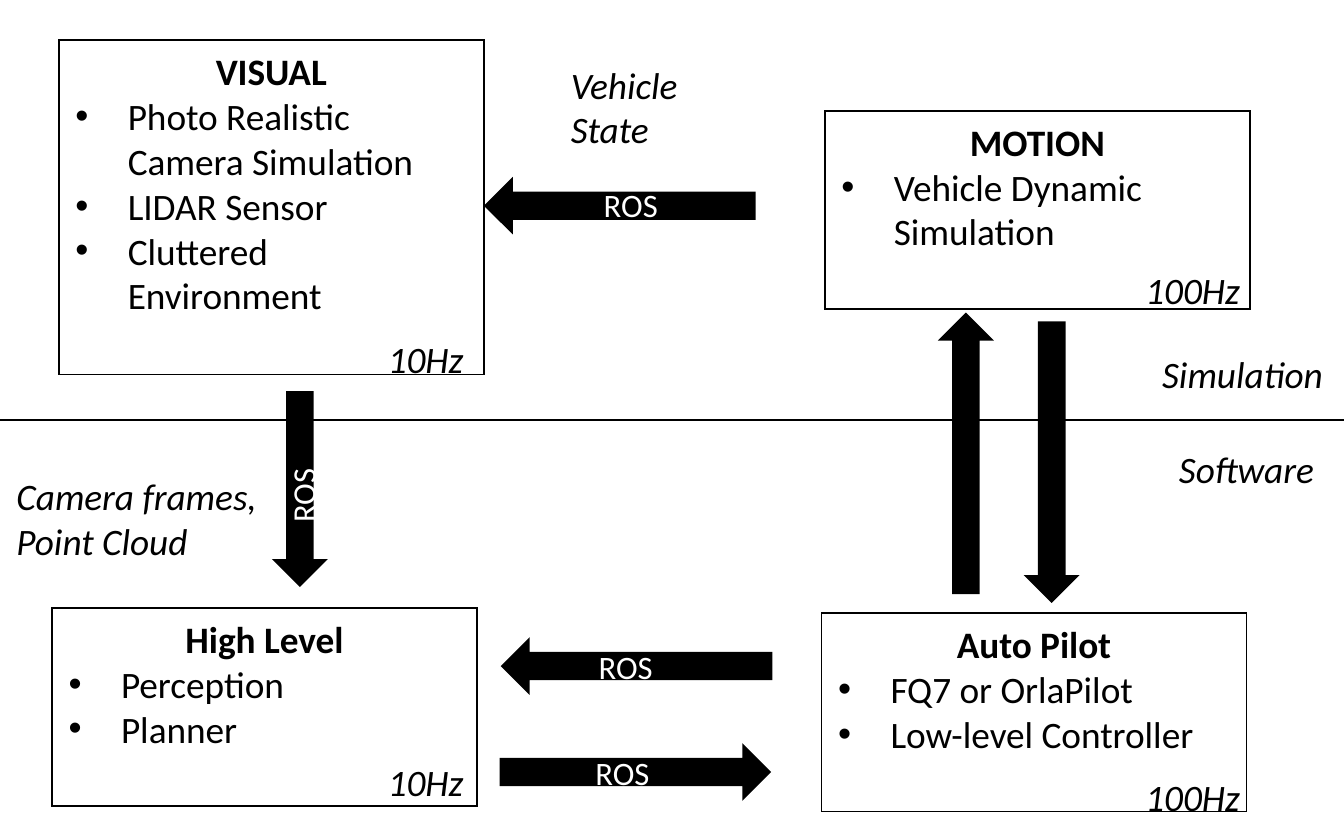
from lxml.etree import SubElement
from pptx import Presentation
from pptx.dml.color import RGBColor
from pptx.enum.shapes import MSO_CONNECTOR, MSO_SHAPE
from pptx.enum.text import MSO_ANCHOR, PP_ALIGN
from pptx.oxml.ns import qn
from pptx.util import Pt

BLACK = RGBColor(0, 0, 0)
WHITE = RGBColor(255, 255, 255)
BOX_W, BOX_H = 182.2, 85
RATE_W, LABEL_H = 65.5, 26.6
INDENT = 22.5


def write(tf, lines, size=16, color=BLACK, bold=False, italic=False,
          align=PP_ALIGN.LEFT, bullet=False, font="Calibri"):
    """Append each line to the text frame as a formatted paragraph."""
    for line in lines:
        p = tf.add_paragraph() if tf.text else tf.paragraphs[0]
        p.alignment = align
        r = p.add_run()
        r.text = line
        r.font.name, r.font.size = font, Pt(size)
        r.font.bold, r.font.italic = bold, italic
        r.font.color.rgb = color
        if bullet:
            pPr = p._p.get_or_add_pPr()
            pPr.set("marL", str(Pt(INDENT)))
            pPr.set("indent", str(-Pt(INDENT)))
            SubElement(pPr, qn("a:buFont"), typeface="Arial")
            SubElement(pPr, qn("a:buChar"), char="•")


class Diagram:
    """Draws the blocks, arrows and labels of the diagram on one slide."""

    def __init__(self, s):
        self.s = s

    def shape(self, shapes, kind, x, y, w, h, line_width):
        """Add a black-outlined preset shape with sharp corners."""
        sp = shapes.add_shape(kind, Pt(x), Pt(y), Pt(w), Pt(h))
        sp.shadow.inherit = False
        sp.line.color.rgb = BLACK
        sp.line.width = Pt(line_width)
        SubElement(sp.line._get_or_add_ln(), qn("a:miter"), lim="800000")
        return sp

    def text(self, shapes, lines, x, y, w, h, rotation=0, **fmt):
        """Add a wrapping text box."""
        sp = shapes.add_textbox(Pt(x), Pt(y), Pt(w), Pt(h))
        sp.rotation = rotation
        sp.text_frame.word_wrap = True
        write(sp.text_frame, lines, **fmt)

    def block(self, title, items, rate, x, y, rate_x, rate_y, h=BOX_H):
        """Add a titled box grouped with its update rate."""
        shapes = self.s.shapes.add_group_shape().shapes
        sp = self.shape(shapes, MSO_SHAPE.RECTANGLE, x, y, BOX_W, h, 0.75)
        sp.fill.background()
        tf = sp.text_frame
        tf.word_wrap = True
        tf.vertical_anchor = MSO_ANCHOR.TOP
        write(tf, [title], bold=True, align=PP_ALIGN.CENTER)
        write(tf, items, bullet=True)
        self.text(shapes, [rate], rate_x, rate_y, RATE_W, LABEL_H, italic=True)

    def arrow(self, x, y, w, h, rotation=0):
        """Add a solid block arrow."""
        sp = self.shape(self.s.shapes, MSO_SHAPE.RIGHT_ARROW, x, y, w, h, 1)
        sp.fill.solid()
        sp.fill.fore_color.rgb = BLACK
        sp.rotation = rotation

    def label(self, lines, x, y, w, h=LABEL_H):
        """Add an italic label."""
        self.text(self.s.shapes, lines, x, y, w, h, italic=True)

    def ros(self, x, y, w=RATE_W, rotation=0):
        """Add the white transport name on an arrow."""
        self.text(self.s.shapes, ["ROS"], x, y, w, 24.5, rotation,
                  size=14, color=WHITE, align=PP_ALIGN.CENTER)

    def divider(self, y, width):
        """Add a thin horizontal line across the slide."""
        c = self.s.shapes.add_connector(
            MSO_CONNECTOR.STRAIGHT, Pt(0), Pt(y), Pt(width), Pt(y))
        c.line.color.rgb = BLACK
        c.line.width = Pt(0.5)
        SubElement(c._element.spPr, qn("a:effectLst"))


prs = Presentation()
prs.slide_width, prs.slide_height = Pt(576), Pt(360)
d = Diagram(prs.slides.add_slide(prs.slide_layouts[6]))

d.block("VISUAL", ["Photo Realistic Camera Simulation", "LIDAR Sensor",
                   "Cluttered Environment"],
        "10Hz", 25.2, 17.3, 159.1, 140.4, h=143.3)
d.block("High Level", ["Perception", "Planner"],
        "10Hz", 22.3, 260.6, 159.1, 321.8)
d.block("MOTION", ["Vehicle Dynamic Simulation"],
        "100Hz", 353.5, 47.5, 483.8, 110.9)
d.block("Auto Pilot", ["FQ7 or OrlaPilot", "Low-level Controller"],
        "100Hz", 352.1, 262.8, 483.8, 328.3)

d.divider(180, 576)

for x, y, w, h, rotation in [
    (208.1, 77, 115.2, 22.3, 180),
    (87.1, 198.7, 82.8, 21.6, 90),
    (215.3, 274.3, 115.2, 22.3, 180),
    (214.6, 319.7, 115.2, 22.3, 0),
    (354.2, 183.6, 119.5, 21.6, 270),
    (391, 187.2, 119.5, 21.6, 90),
]:
    d.arrow(x, y, w, h, rotation)

for x, y in [(237.6, 75.6), (235.4, 273.6), (234, 319)]:
    d.ros(x, y)
d.ros(95.8, 200.2, w=68.4, rotation=270)

d.label(["Vehicle", "State"], 237.6, 23, 87.1, 46.1)
d.label(["Camera frames,", "Point Cloud"], 0, 199.4, 126.7, 46.1)
d.label(["Simulation"], 491, 146.9, 85)
d.label(["Software"], 498.2, 187.9, 77.8)

prs.save("out.pptx")
